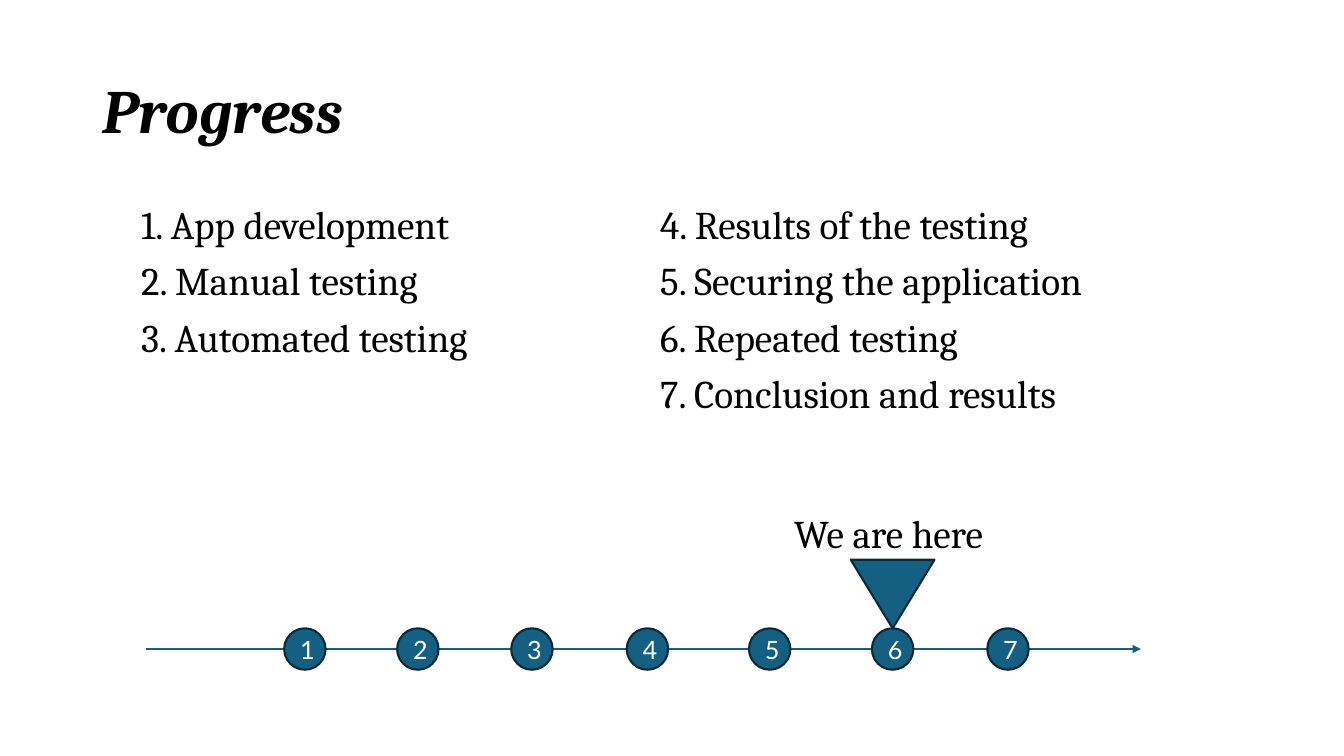
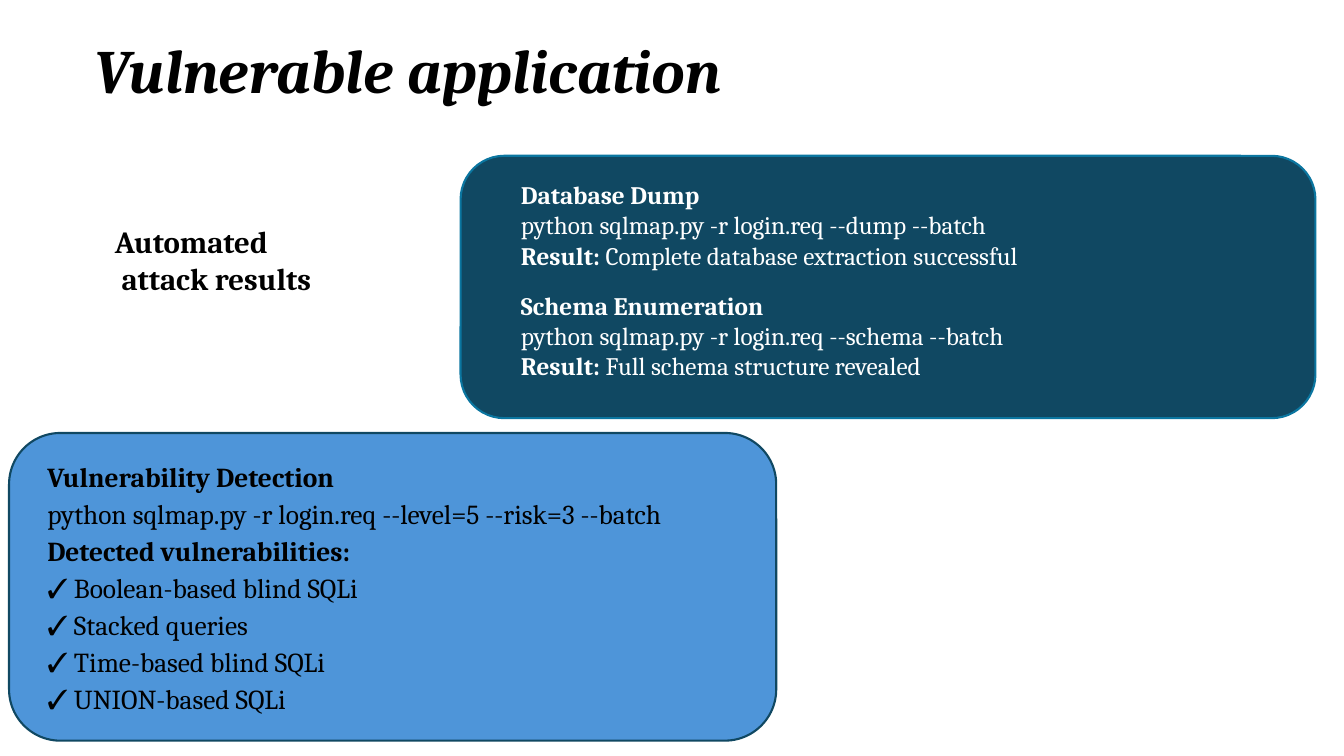
"""Build a progress slide and a slide on automated attack results."""
from lxml.etree import SubElement
from pptx import Presentation
from pptx.dml.color import RGBColor
from pptx.enum.shapes import MSO_CONNECTOR, MSO_SHAPE
from pptx.enum.text import MSO_ANCHOR, MSO_AUTO_SIZE, PP_ALIGN
from pptx.oxml.ns import qn
from pptx.util import Pt

COLORS = {
    "text": "000000", "light": "FFFFFF", "accent": "156082", "accent_edge": "092A39",
    "dark": "104862", "dark_edge": "0B76A0", "blue": "4E95D9",
}
SERIF = "Cambria"
TITLE = {"size": 44, "bold": True, "italic": True, "line_spacing": 0.9}
LIST = {"size": 28, "line_spacing": 0.9, "space_before": 10}
DETECTION = {"size": 19.6, "line_spacing": 0.7, "space_before": 10}
RESULT = {"size": 18, "color": "light"}
LABEL = {"size": 22, "bold": True}
NUMBER = {"size": 18, "font": "Lato", "color": "light", "alignment": PP_ALIGN.CENTER}

STEPS = [
    "App development", "Manual testing", "Automated testing", "Results of the testing",
    "Securing the application", "Repeated testing", "Conclusion and results",
]
FIRST_COLUMN = 3
CURRENT_STEP = 6
MARKER_CENTERS = [217.8, 298.5, 380, 462.5, 549.8, 637.6, 720]
MARKER_SIZE = 29.6
TIMELINE_Y = 463.6
TIMELINE_ENDS = (104.4, 815)
POINTER_SIZE = (59.8, 49)

DETECTED = ["Boolean-based blind SQLi", "Stacked queries",
            "Time-based blind SQLi", "UNION-based SQLi"]
DETECTION_LINES = [
    [("Vulnerability Detection", True)],
    "python sqlmap.py -r login.req --level=5 --risk=3 --batch",
    [("Detected vulnerabilities:", True)],
    *[f"✓ {name}" for name in DETECTED],
]
ATTACKS = [
    ("Database Dump", "--dump", "Complete database extraction successful"),
    ("Schema Enumeration", "--schema", "Full schema structure revealed"),
]


def color(name):
    return RGBColor.from_string(COLORS[name])


def place(shape, area):
    for name, value in zip(("left", "top", "width", "height"), area):
        setattr(shape, name, Pt(value))


def write(shape, lines, style, anchor=MSO_ANCHOR.TOP):
    """Write lines, each a string or a list of (text, bold) spans."""
    frame = shape.text_frame
    frame_format = {"word_wrap": True, "auto_size": MSO_AUTO_SIZE.NONE,
                    "vertical_anchor": anchor}
    for name, value in frame_format.items():
        setattr(frame, name, value)
    para_format = {
        "alignment": style.get("alignment", PP_ALIGN.LEFT),
        "line_spacing": style.get("line_spacing", 1.0),
        "space_before": Pt(style.get("space_before", 0)),
    }
    for index, line in enumerate(lines):
        para = frame.add_paragraph() if index else frame.paragraphs[0]
        for name, value in para_format.items():
            setattr(para, name, value)
        properties = para._p.get_or_add_pPr()
        properties.set("marL", "0")
        properties.set("indent", "0")
        SubElement(properties, qn("a:buNone"))
        spans = [(line, style.get("bold", False))] if isinstance(line, str) else line
        for text, bold in spans:
            span = para.add_run()
            span.text = text
            span_format = {"name": style.get("font", SERIF), "size": Pt(style["size"]),
                           "bold": bold, "italic": style.get("italic", False)}
            for name, value in span_format.items():
                setattr(span.font, name, value)
            span.font.color.rgb = color(style.get("color", "text"))


def add_page(deck, layout, title, area):
    page = deck.slides.add_slide(deck.slide_layouts.get_by_name(layout))
    place(page.shapes.title, area)
    write(page.shapes.title, [title], TITLE, MSO_ANCHOR.MIDDLE)
    return page


def add_text(page, area, lines, style):
    box = page.shapes.add_textbox(*map(Pt, area))
    write(box, lines, style)


def fill_body(page, index, area, lines, style):
    body = page.placeholders[index]
    place(body, area)
    write(body, lines, style)


def add_block(page, kind, area, fill, edge):
    block = page.shapes.add_shape(kind, *map(Pt, area))
    block.shadow.inherit = False
    block.fill.solid()
    block.fill.fore_color.rgb = color(fill)
    block.line.color.rgb = color(edge)
    block.line.width = Pt(1.5)
    return block


def add_timeline(page):
    start, end = TIMELINE_ENDS
    line = page.shapes.add_connector(
        MSO_CONNECTOR.STRAIGHT, Pt(start), Pt(TIMELINE_Y), Pt(end), Pt(TIMELINE_Y))
    line.line.color.rgb = color("accent")
    line.line.width = Pt(1.5)
    SubElement(line.line._get_or_add_ln(), qn("a:tailEnd"), type="triangle")
    SubElement(line.element.spPr, qn("a:effectLst"))

    top = TIMELINE_Y - MARKER_SIZE / 2
    for number, center in enumerate(MARKER_CENTERS, 1):
        area = (center - MARKER_SIZE / 2, top, MARKER_SIZE, MARKER_SIZE)
        marker = add_block(page, MSO_SHAPE.OVAL, area, "accent", "accent_edge")
        write(marker, [str(number)], NUMBER, MSO_ANCHOR.MIDDLE)
        for side, margin in {"left": 3.6, "right": 0, "top": 0, "bottom": 0}.items():
            setattr(marker.text_frame, f"margin_{side}", Pt(margin))

    width, height = POINTER_SIZE
    center = MARKER_CENTERS[CURRENT_STEP - 1]
    area = (center - width / 2, top - height, width, height)
    pointer = add_block(page, MSO_SHAPE.ISOSCELES_TRIANGLE, area, "accent", "accent_edge")
    pointer.rotation = 180
    add_text(page, (560.2, 364.3, 179, 46.8), ["We are here"], LIST)


def add_progress(deck):
    page = add_page(deck, "Two Content", "Progress", (66, 28.8, 828, 104.4))
    lines = [f"{number}. {step}" for number, step in enumerate(STEPS, 1)]
    fill_body(page, 1, (93.6, 143.3, 408, 198.7), lines[:FIRST_COLUMN], LIST)
    fill_body(page, 2, (464.4, 143.3, 408, 177), lines[FIRST_COLUMN:], LIST)
    add_timeline(page)


def add_results(deck):
    page = add_page(deck, "Title and Content", "Vulnerable application",
                    (60.5, 0, 828, 104.4))
    panels = [
        ((329, 111.3, 610.6, 187.4), "dark", "dark_edge"),
        ((6.5, 309.3, 548, 219.8), "blue", "dark"),
    ]
    for area, fill, edge in panels:
        panel = add_block(page, MSO_SHAPE.ROUNDED_RECTANGLE, area, fill, edge)
        page.shapes.title.element.addprevious(panel.element)
    fill_body(page, 1, (26.6, 331.2, 527.8, 187.2), DETECTION_LINES, DETECTION)
    add_text(page, (74.9, 155.5, 326, 60.5), ["Automated", " attack results"], LABEL)
    for row, (heading, option, result) in enumerate(ATTACKS):
        lines = [
            [(heading, True)],
            f"python sqlmap.py -r login.req {option} --batch",
            [("Result:", True), (f" {result}", False)],
        ]
        add_text(page, (365, 124.6 + row * 79.2, 574.6, 72.7), lines, RESULT)


def main():
    deck = Presentation()
    deck.slide_width, deck.slide_height = Pt(960), Pt(540)
    add_progress(deck)
    add_results(deck)
    deck.save("out.pptx")


if __name__ == "__main__":
    main()
